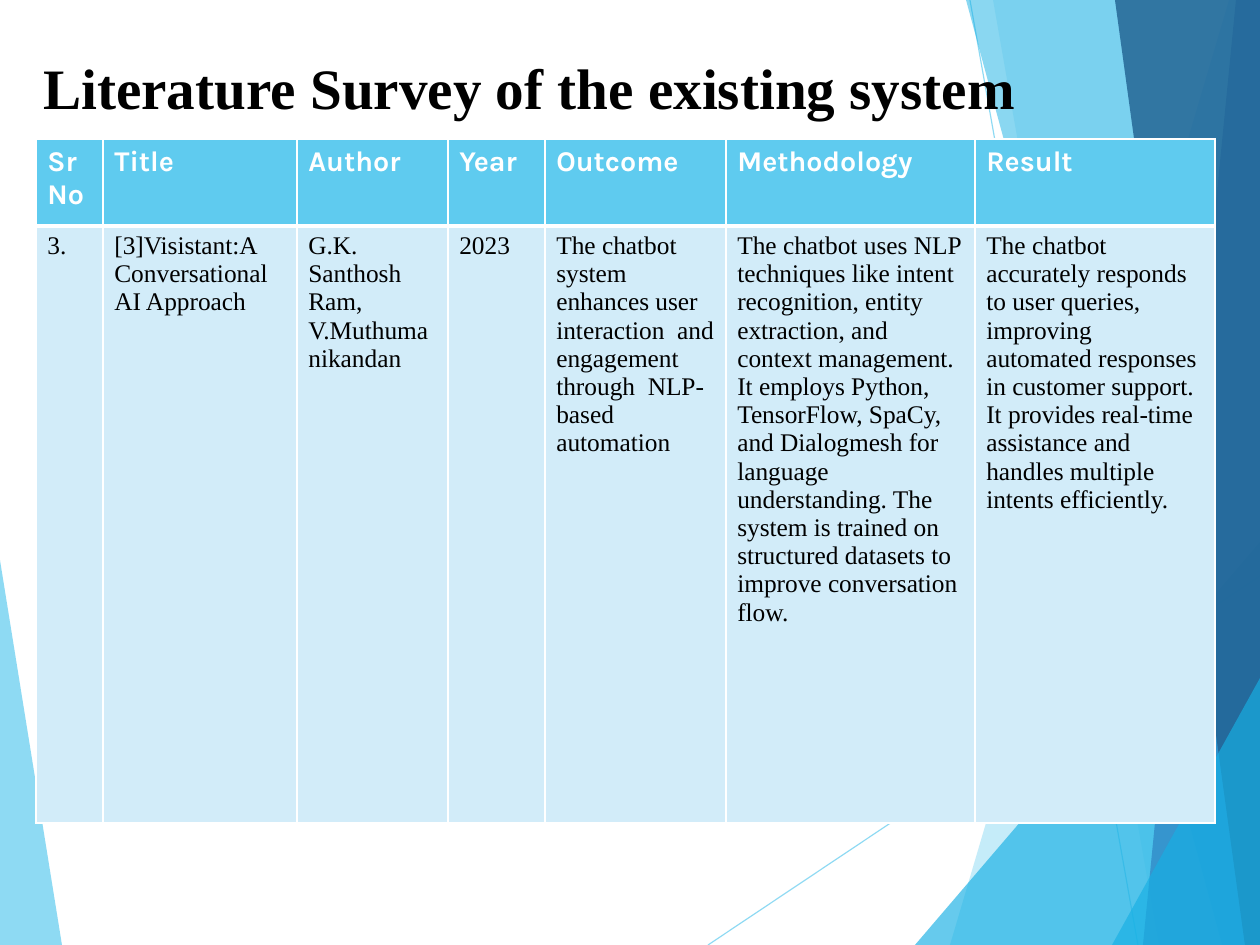
from dataclasses import dataclass

from lxml import etree
from pptx import Presentation
from pptx import util as u
from pptx.dml.color import RGBColor
from pptx.enum import shapes, text
from pptx.oxml import ns

PX = 8000  # EMU in one px
WIDTH, HEIGHT = 1260, 945
TITLE_ONLY = 5

Point = tuple[int, int]


@dataclass(frozen=True)
class Theme:
    sky: str = "5FCBEF"
    azure: str = "17B0E4"
    blue: str = "2E83C3"
    navy: str = "226292"
    pale: str = "D2ECF9"
    white: str = "FFFFFF"
    black: str = "000000"
    serif: str = "Times New Roman"
    sans: str = "Karla"
    title_size: int = 36
    header_size: int = 18
    body_size: int = 16
    border: float = 1
    header_rule: float = 3
    ray: float = 0.75


THEME = Theme()


@dataclass(frozen=True)
class Facet:
    points: tuple[Point, ...]
    color: str
    opacity: int


@dataclass(frozen=True)
class Ray:
    start: Point
    end: Point


@dataclass(frozen=True)
class Column:
    width: int
    header: str
    body: str


@dataclass(frozen=True)
class RowStyle:
    height: int
    fill: str
    font: str
    size: int
    color: str
    bold: bool
    bottom: float


def right_facet(top: Point, bottom: Point, right_top: int, color: str, opacity: int) -> Facet:
    """A facet that fills the corner between a slanted edge and the right side."""
    points = (top, bottom, (WIDTH, HEIGHT), (WIDTH, right_top))
    return Facet(points, color, opacity)


LEFT_FACET = Facet(((0, 560), (62, HEIGHT), (0, HEIGHT)), THEME.sky, 70)
RAYS = (Ray((708, HEIGHT), (WIDTH, 576)), Ray((970, 0), (1138, HEIGHT)))
RIGHT_FACETS = (
    right_facet((1229, 0), (950, HEIGHT), 0, THEME.sky, 36),
    right_facet((993, 0), (1159, HEIGHT), 0, THEME.sky, 20),
    right_facet((WIDTH, 542), (915, HEIGHT), 542, THEME.azure, 66),
    right_facet((966, 0), (1222, HEIGHT), 0, THEME.azure, 50),
    right_facet((1236, 0), (1143, HEIGHT), 0, THEME.blue, 70),
    right_facet((1115, 0), (1245, HEIGHT), 0, THEME.navy, 82),
    right_facet((WIDTH, 678), (1112, HEIGHT), 678, THEME.azure, 66),
)

COLUMNS = (
    Column(67, "Sr No", "3."),
    Column(194, "Title", "[3]Visistant:A Conversational AI Approach"),
    Column(151, "Author", "G.K. Santhosh Ram,\nV.Muthumanikandan"),
    Column(97, "Year", "2023"),
    Column(181, "Outcome", "The chatbot system  enhances user interaction  and engagement "
           "through  NLP-based automation"),
    Column(249, "Methodology", "The chatbot uses NLP techniques like intent recognition, entity "
           "extraction, and context management. It employs Python, TensorFlow, SpaCy, and "
           "Dialogmesh for language understanding. The system is trained on structured "
           "datasets to improve conversation flow."),
    Column(240, "Result", "The chatbot accurately responds to user queries, improving automated "
           "responses in customer support. It provides real-time assistance and handles "
           "multiple intents efficiently."),
)
HEADER_STYLE = RowStyle(87, THEME.sky, THEME.sans, THEME.header_size, THEME.white, True,
                        THEME.header_rule)
BODY_STYLE = RowStyle(597, THEME.pale, THEME.serif, THEME.body_size, THEME.black, False,
                      THEME.border)


def px(length: int) -> u.Emu:
    return u.Emu(length * PX)


def set_opacity(shape, percent: int) -> None:
    for color in shape._element.spPr.iter(ns.qn("a:srgbClr")):
        etree.SubElement(color, ns.qn("a:alpha"), val=str(percent * 1000))


def draw_facet(slide, facet: Facet) -> None:
    builder = slide.shapes.build_freeform(*facet.points[0], scale=PX)
    builder.add_line_segments(facet.points[1:], close=True)
    shape = builder.convert_to_shape()
    shape.shadow.inherit = False
    shape.fill.solid()
    shape.fill.fore_color.rgb = RGBColor.from_string(facet.color)
    shape.line.fill.background()
    set_opacity(shape, facet.opacity)


def draw_ray(slide, ray: Ray) -> None:
    connector = slide.shapes.add_connector(
        shapes.MSO_CONNECTOR.STRAIGHT, *map(px, ray.start + ray.end))
    connector.line.color.rgb = RGBColor.from_string(THEME.sky)
    connector.line.width = u.Pt(THEME.ray)
    set_opacity(connector, 70)
    etree.SubElement(connector._element.spPr, ns.qn("a:effectLst"))


def format_text(frame, font: str, size: int, color: str, bold: bool) -> None:
    for paragraph in frame.paragraphs:
        paragraph.alignment = text.PP_ALIGN.LEFT
        for run in paragraph.runs:
            run.font.name = font
            run.font.size = u.Pt(size)
            run.font.bold = bold
            run.font.color.rgb = RGBColor.from_string(color)


def set_borders(cell, bottom: float) -> None:
    properties = cell._tc.get_or_add_tcPr()
    widths = {"lnL": THEME.border, "lnR": THEME.border, "lnT": THEME.border, "lnB": bottom}
    for side, width in widths.items():
        line = etree.SubElement(properties, ns.qn(f"a:{side}"), w=str(u.Pt(width)))
        fill = etree.SubElement(line, ns.qn("a:solidFill"))
        etree.SubElement(fill, ns.qn("a:srgbClr"), val=THEME.white)


def fill_cell(cell, content: str, style: RowStyle) -> None:
    cell.text_frame.text = content
    format_text(cell.text_frame, style.font, style.size, style.color, style.bold)
    set_borders(cell, style.bottom)
    cell.fill.solid()
    cell.fill.fore_color.rgb = RGBColor.from_string(style.fill)


def draw_survey_table(slide) -> None:
    styles = (HEADER_STYLE, BODY_STYLE)
    width = sum(column.width for column in COLUMNS)
    height = sum(style.height for style in styles)
    table = slide.shapes.add_table(
        len(styles), len(COLUMNS), px(36), px(139), px(width), px(height)).table
    for row, style in zip(table.rows, styles):
        row.height = px(style.height)
    for index, column in enumerate(COLUMNS):
        table.columns[index].width = px(column.width)
        fill_cell(table.cell(0, index), column.header, HEADER_STYLE)
        fill_cell(table.cell(1, index), column.body, BODY_STYLE)


def place_title(slide) -> None:
    """Fill the title placeholder and bring it in front of everything else."""
    title = slide.shapes.title
    title.left, title.top, title.width, title.height = map(px, (32, 47, 1152, 150))
    frame = title.text_frame
    frame.text = "Literature Survey of the existing system"
    frame.word_wrap = True
    frame.vertical_anchor = text.MSO_ANCHOR.TOP
    format_text(frame, THEME.serif, THEME.title_size, THEME.black, True)
    slide.shapes._spTree.append(title._element)


def main() -> None:
    presentation = Presentation()
    presentation.slide_width, presentation.slide_height = px(WIDTH), px(HEIGHT)
    slide = presentation.slides.add_slide(presentation.slide_layouts[TITLE_ONLY])
    draw_facet(slide, LEFT_FACET)
    for ray in RAYS:
        draw_ray(slide, ray)
    for facet in RIGHT_FACETS:
        draw_facet(slide, facet)
    draw_survey_table(slide)
    place_title(slide)
    presentation.save("out.pptx")


if __name__ == "__main__":
    main()
